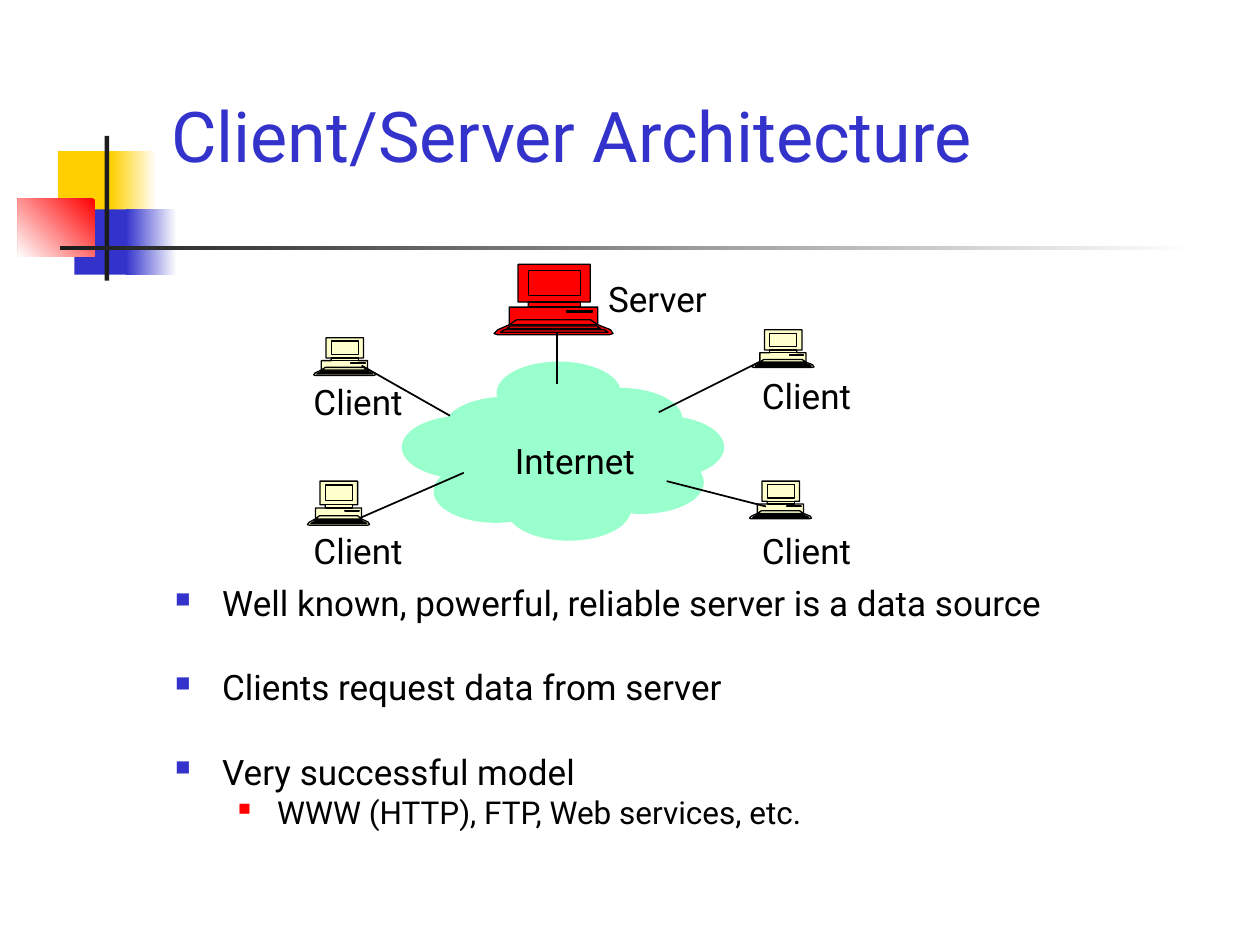
import pptx
import pptx.util
import pptx.dml.color
import pptx.enum.shapes
import pptx.enum.text
import pptx.oxml
import pptx.oxml.ns
from lxml import etree

Cm, Pt = pptx.util.Cm, pptx.util.Pt
SHAPES = pptx.enum.shapes.MSO_SHAPE
TEXT = pptx.enum.text

BLACK, WHITE, DARK = "000000", "FFFFFF", "1C1C1C"
BLUE, RED, YELLOW = "3333CC", "FF0000", "FFCF01"
CREAM, MINT = "FFFFCC", "99FFCC"

# Desktop computer on a 94 x 56 grid, one contour per part
COMPUTER_GRID = (94, 56)
COMPUTER_PARTS = [
    # case, monitor and keyboard
    [(92, 52), (82, 48), (82, 34), (68, 34), (68, 30), (76, 30), (76, 0), (19, 0), (19, 30),
     (27, 30), (27, 34), (12, 34), (12, 48), (3, 52), (0, 55), (3, 56), (91, 56), (94, 55)],
    # key rows
    [(79, 48), (76, 46), (19, 46), (16, 48)],
    [(84, 51), (81, 49), (13, 49), (10, 51)],
    [(90, 54), (87, 52), (8, 52), (5, 54)],
    # keyboard edge, disk slot, screen, neck
    [(82, 48), (76, 44), (18, 44), (12, 48)],
    [(57, 37), (57, 38), (78, 38), (78, 37)],
    [(27, 5), (27, 25), (68, 25), (68, 5)],
    [(27, 30), (68, 30), (68, 34), (27, 34)],
]

CLOUD_PUFFS = [(8.94, 8), (10.01, 7.29), (11.25, 7.82), (11.68, 8.38), (12.09, 8.38),
               (11.68, 9.09), (10.21, 9.63), (8.1, 8.38), (10.01, 8.56), (8.74, 9.27)]
COMPUTERS = [(15.11, 9.7, 1.25, 0.76, CREAM), (6.32, 6.81, 1.25, 0.76, CREAM),
             (6.2, 9.7, 1.25, 0.89, CREAM), (9.96, 5.33, 2.4, 1.42, RED),
             (15.16, 6.65, 1.25, 0.76, CREAM)]
LINKS = [(11.23, 7.75, 11.23, 6.71), (9.07, 8.38, 7.29, 7.37), (7.26, 10.44, 9.35, 9.53),
         (15.44, 10.21, 13.44, 9.7), (13.28, 8.31, 15.32, 7.29)]
LABELS = [("Server", 12.01, 5.46, 2.64), ("Client", 6.07, 7.54, 2.41),
          ("Client", 6.07, 10.54, 2.41), ("Client", 15.11, 10.54, 2.41),
          ("Client", 15.11, 7.42, 2.41), ("Internet", 10.13, 8.74, 3.23)]

POINT = {"size": 20, "left": 0.95, "hang": 0.95, "color": BLUE, "bullet": 60}
SUBPOINT = {"size": 18, "left": 2.06, "hang": 0.79, "color": RED, "bullet": 55}
POINTS = [("Well known, powerful, reliable server is a data source", POINT, 0),
          ("Clients request data from server", POINT, 29),
          ("Very successful model", POINT, 29),
          ("WWW (HTTP), FTP, Web services, etc.", SUBPOINT, 4.5)]


def rgb(code):
    return pptx.dml.color.RGBColor.from_string(code)


def lengths(*values):
    return [Cm(value) for value in values]


def split_contours(shape):
    """Give each contour its own path, so that inner parts are filled, not cut out."""
    tag = pptx.oxml.ns.qn
    paths = shape._element.spPr.find(".//" + tag("a:pathLst"))
    joined = paths[0]
    paths.remove(joined)
    for step in list(joined):
        if step.tag == tag("a:moveTo"):
            contour = etree.SubElement(paths, joined.tag, dict(joined.attrib))
        contour.append(step)


class Drawing:
    font = "Roboto"

    def __init__(self, slide):
        self.slide = slide
        self.shapes = slide.shapes

    def format_text(self, paragraph, size, color=BLACK):
        style = {"name": self.font, "size": Pt(size), "bold": False}
        for name, value in style.items():
            setattr(paragraph.font, name, value)
        paragraph.font.color.rgb = rgb(color)

    def title(self, text, *box):
        heading = self.shapes.title
        place = dict(zip(("left", "top", "width", "height"), lengths(*box)))
        for name, value in place.items():
            setattr(heading, name, value)
        frame = heading.text_frame
        frame.text = text
        frame.vertical_anchor = TEXT.MSO_ANCHOR.BOTTOM
        frame.auto_size = TEXT.MSO_AUTO_SIZE.NONE
        frame.paragraphs[0].alignment = TEXT.PP_ALIGN.LEFT
        self.format_text(frame.paragraphs[0], 40, BLUE)

    def block(self, kind, box, color, fade=None):
        """Shape without outline; fade is (first colour, angle) of a gradient to color."""
        shape = self.shapes.add_shape(kind, *lengths(*box))
        shape.shadow.inherit = False
        shape.line.fill.background()
        if fade:
            first, angle = fade
            shape.fill.gradient()
            shape.fill.gradient_angle = angle
            for stop, code in zip(shape.fill.gradient_stops, (first, color)):
                stop.color.rgb = rgb(code)
            for stop, position in zip(shape.fill.gradient_stops, (0, 1)):
                stop.position = position
        else:
            shape.fill.solid()
            shape.fill.fore_color.rgb = rgb(color)

    def computer(self, left, top, width, height, color):
        scale = (Cm(width) / COMPUTER_GRID[0], Cm(height) / COMPUTER_GRID[1])
        case, *details = COMPUTER_PARTS
        builder = self.shapes.build_freeform(*case[0], scale=scale)
        builder.add_line_segments(case[1:])
        for detail in details:
            builder.move_to(*detail[0])
            builder.add_line_segments(detail[1:])
        shape = builder.convert_to_shape(*lengths(left, top))
        split_contours(shape)
        shape.shadow.inherit = False
        shape.fill.solid()
        shape.fill.fore_color.rgb = rgb(color)
        shape.line.color.rgb = rgb(BLACK)
        shape.line.width = Pt(0.75)

    def link(self, *ends):
        line = self.shapes.add_connector(
            pptx.enum.shapes.MSO_CONNECTOR.STRAIGHT, *lengths(*ends))
        line.line.color.rgb = rgb(BLACK)
        line.line.width = Pt(1)
        etree.SubElement(line._element.spPr, pptx.oxml.ns.qn("a:effectLst"))

    def label(self, text, left, top, width):
        frame = self.shapes.add_textbox(*lengths(left, top, width, 1.12)).text_frame
        frame.word_wrap = False
        frame.auto_size = TEXT.MSO_AUTO_SIZE.SHAPE_TO_FIT_TEXT
        frame.text = text
        self.format_text(frame.paragraphs[0], 20)

    def bullets(self, points, *box):
        frame = self.shapes.add_textbox(*lengths(*box)).text_frame
        frame.word_wrap = True
        for index, (text, level, space) in enumerate(points):
            paragraph = frame.add_paragraph() if index else frame.paragraphs[0]
            paragraph.text = text
            properties = paragraph._p.get_or_add_pPr()
            properties.set("marL", str(Cm(level["left"])))
            properties.set("indent", str(-Cm(level["hang"])))
            namespace = pptx.oxml.ns.nsdecls("a")
            for xml in (f'<a:buClr {namespace}><a:srgbClr val="{level["color"]}"/></a:buClr>',
                        f'<a:buSzPct {namespace} val="{level["bullet"] * 1000}"/>',
                        f'<a:buChar {namespace} char="■"/>'):
                properties.append(pptx.oxml.parse_xml(xml))
            paragraph.line_spacing = 0.8
            paragraph.space_before = Pt(space)
            self.format_text(paragraph, level["size"])


def main():
    deck = pptx.Presentation()
    deck.slide_width, deck.slide_height = lengths(25.4, 19.05)
    drawing = Drawing(deck.slides.add_slide(deck.slide_layouts[5]))

    for box, color, fade in [
        ((1.17, 3.05, 1.22, 1.32), YELLOW, None),
        ((2.24, 3.05, 0.91, 1.32), YELLOW, (WHITE, 180)),
        ((1.5, 4.22, 1.17, 1.32), BLUE, None),
        ((2.54, 4.22, 1.02, 1.32), BLUE, (WHITE, 180)),
        ((0.36, 4.01, 1.55, 1.17), WHITE, (RED, 225)),
        ((2.11, 2.74, 0.09, 2.92), DARK, None),
        ((1.22, 4.95, 22.86, 0.09), DARK, (WHITE, 180)),
    ]:
        drawing.block(SHAPES.RECTANGLE, box, color, fade)

    drawing.title("Client/Server Architecture", 3.2, 1.7, 21.64, 1.98)
    drawing.bullets(POINTS, 3.28, 11.76, 20.8, 5.28)
    for puff in CLOUD_PUFFS:
        drawing.block(SHAPES.OVAL, (*puff, 2.51, 1.27), MINT)
    for computer in COMPUTERS:
        drawing.computer(*computer)
    for ends in LINKS:
        drawing.link(*ends)
    for label in LABELS:
        drawing.label(*label)
    deck.save("out.pptx")


if __name__ == "__main__":
    main()
